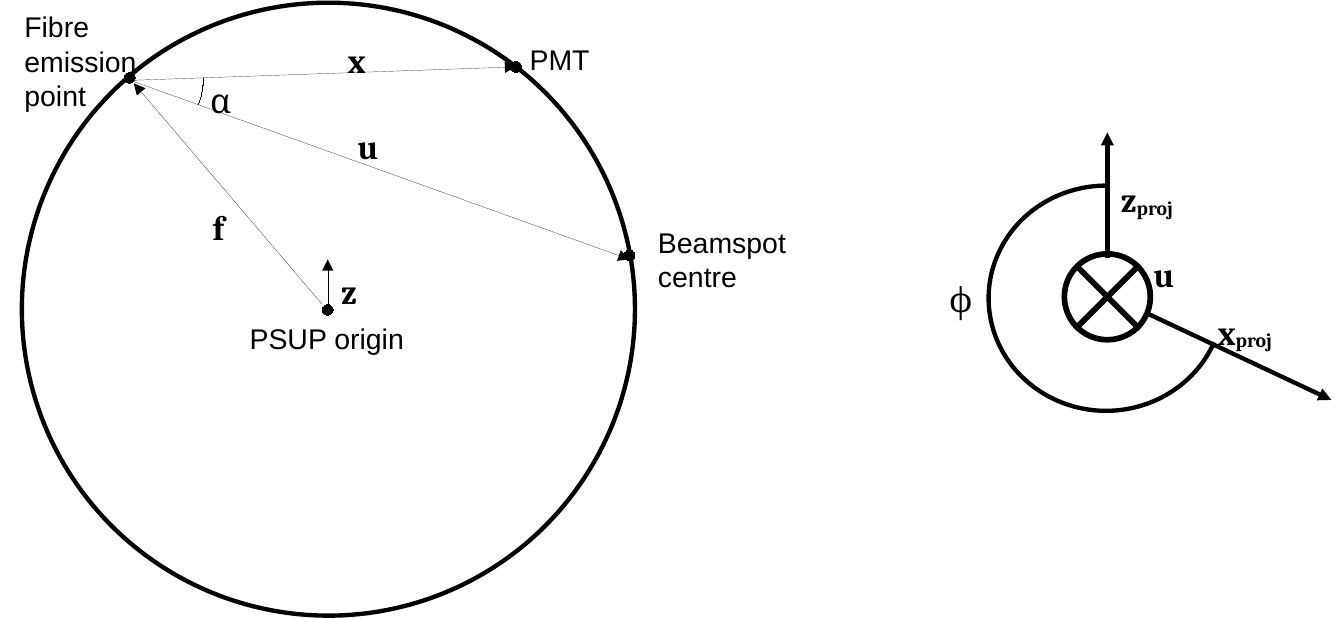
"""Draw the fibre geometry inside the PSUP sphere and its projection along u."""
from lxml import etree
from pptx import Presentation, util as u
from pptx.dml.color import RGBColor
from pptx.enum import shapes, text
from pptx.oxml.ns import qn

SLIDE_SIZE = u.Cm(25), u.Cm(11.5)
CELL = u.Inches(0.1)
COLORS = {"ink": "000000"}
HAIR, BOLD, HEAVY = 0.01, 2.3, 3
INK = RGBColor.from_string(COLORS["ink"])

# centre column, centre row, radius, line width
SPHERE = (24.05, 22.65, 22.45, BOLD)
BEAM_AXIS = (81.1, 21.75, 3.15, HEAVY)
DOT_RADIUS = 0.4
DOTS = {"origin": (24, 22.7), "fibre": (9.5, 5.7), "pmt": (37.8, 4.9), "beamspot": (46.1, 18.7)}

# centre column, centre row, horizontal and vertical radius, angles, line width
ARCS = {
    "alpha": (9.4, 5.7, 5.5, 5.5, 0.6, 21.16, HAIR),
    "phi": (81, 21.85, 8.6, 8.25, 22.21, 271.37, BOLD),
}

# start, end, line width
VECTORS = {
    "z": ((24, 22.6), (24, 19), HAIR),
    "f": ((23.6, 22.3), (9.8, 6.1), HAIR),
    "u": ((9.3, 5.8), (46.1, 19), HAIR),
    "x": ((9.3, 5.9), (37.8, 4.9), HAIR),
    "z_proj": ((81.1, 18.9), (81.1, 9.7), BOLD),
    "x_proj": ((84.1, 23), (97.5, 29.3), BOLD),
}

# symbol, subscript, bold, left, top, width
SYMBOLS = [
    ("α", "", False, 14.4, 5.3, 4.7),
    ("z", "", True, 24, 19.3, 2.4),
    ("f", "", True, 14.6, 14.6, 2.4),
    ("u", "", True, 25.2, 8.7, 2.4),
    ("x", "", True, 24.5, 2.4, 2.4),
    ("z", "proj", True, 81.1, 12.6, 7.1),
    ("x", "proj", True, 88.2, 22.3, 7.1),
    ("u", "", True, 83.5, 18.1, 2.4),
    ("ϕ", "", False, 68.5, 19.9, 3.9),
]
SYMBOL_HEIGHT = 4.4

# wording, left, top, width, height, wrapped
LABELS = [
    ("PSUP origin", 17.3, 23, 13.3, 3.3, False),
    ("Fibre emission point", 0.8, 0.2, 10.2, 7.9, True),
    ("Beamspot centre", 47.2, 16, 11.8, 5.6, True),
    ("PMT", 37.8, 2.6, 7.1, 3.3, True),
]


def cells(*counts):
    return [round(count * CELL) for count in counts]


def add_outline(slide, preset, column, row, across, down, width):
    box = cells(column - across, row - down, 2 * across, 2 * down)
    outline = slide.shapes.add_shape(preset, *box)
    outline.shadow.inherit = False
    outline.fill.background()
    outline.line.color.rgb = INK
    outline.line.width = u.Pt(width)
    return outline


def add_line(slide, start, end, width, arrow=False):
    line = slide.shapes.add_connector(shapes.MSO_CONNECTOR.STRAIGHT, *cells(*start, *end))
    line.line.color.rgb = INK
    line.line.width = u.Pt(width)
    if arrow:
        etree.SubElement(line.line._get_or_add_ln(), qn("a:tailEnd"), type="triangle")
    etree.SubElement(line._element.spPr, qn("a:effectLst"))


def add_text(slide, wording, box, font, size, bold=False, wrap=True):
    frame = slide.shapes.add_textbox(*cells(*box)).text_frame
    frame.word_wrap = wrap
    frame.auto_size = text.MSO_AUTO_SIZE.SHAPE_TO_FIT_TEXT
    frame.text = wording
    paragraph = frame.paragraphs[0]
    style(paragraph.runs[0], font, size, bold)
    return paragraph


def style(run, font, size, bold):
    run.font.name = font
    run.font.size = u.Pt(size)
    run.font.bold = bold
    run.font.color.rgb = INK


def add_symbol(slide, symbol, subscript, bold, left, top, width):
    paragraph = add_text(slide, symbol, (left, top, width, SYMBOL_HEIGHT), "Cambria", 18, bold)
    if subscript:
        run = paragraph.add_run()
        run.text = subscript
        style(run, "Cambria", 18, bold)
        run.font._element.set("baseline", "-8000")


def main():
    deck = Presentation()
    deck.slide_width, deck.slide_height = SLIDE_SIZE
    slide = deck.slides.add_slide(deck.slide_layouts[6])

    for column, row, radius, width in (SPHERE, BEAM_AXIS):
        add_outline(slide, shapes.MSO_SHAPE.OVAL, column, row, radius, radius, width)
    for column, row in DOTS.values():
        dot = add_outline(slide, shapes.MSO_SHAPE.OVAL, column, row, DOT_RADIUS, DOT_RADIUS, HAIR)
        dot.fill.solid()
        dot.fill.fore_color.rgb = INK

    for *place, first, last, width in ARCS.values():
        arc = add_outline(slide, shapes.MSO_SHAPE.ARC, *place, width)
        for index, degrees in enumerate((first, last)):
            arc.adjustments[index] = degrees * 0.6

    column, row, radius, width = BEAM_AXIS
    reach = radius * 0.75
    for slope in (1, -1):
        add_line(slide, (column - reach, row - slope * reach),
                 (column + reach, row + slope * reach), width)
    for start, end, width in VECTORS.values():
        add_line(slide, start, end, width, arrow=True)

    for symbol in SYMBOLS:
        add_symbol(slide, *symbol)
    for wording, *box, wrap in LABELS:
        add_text(slide, wording, box, "Arial", 15, wrap=wrap)

    deck.save("out.pptx")


if __name__ == "__main__":
    main()
